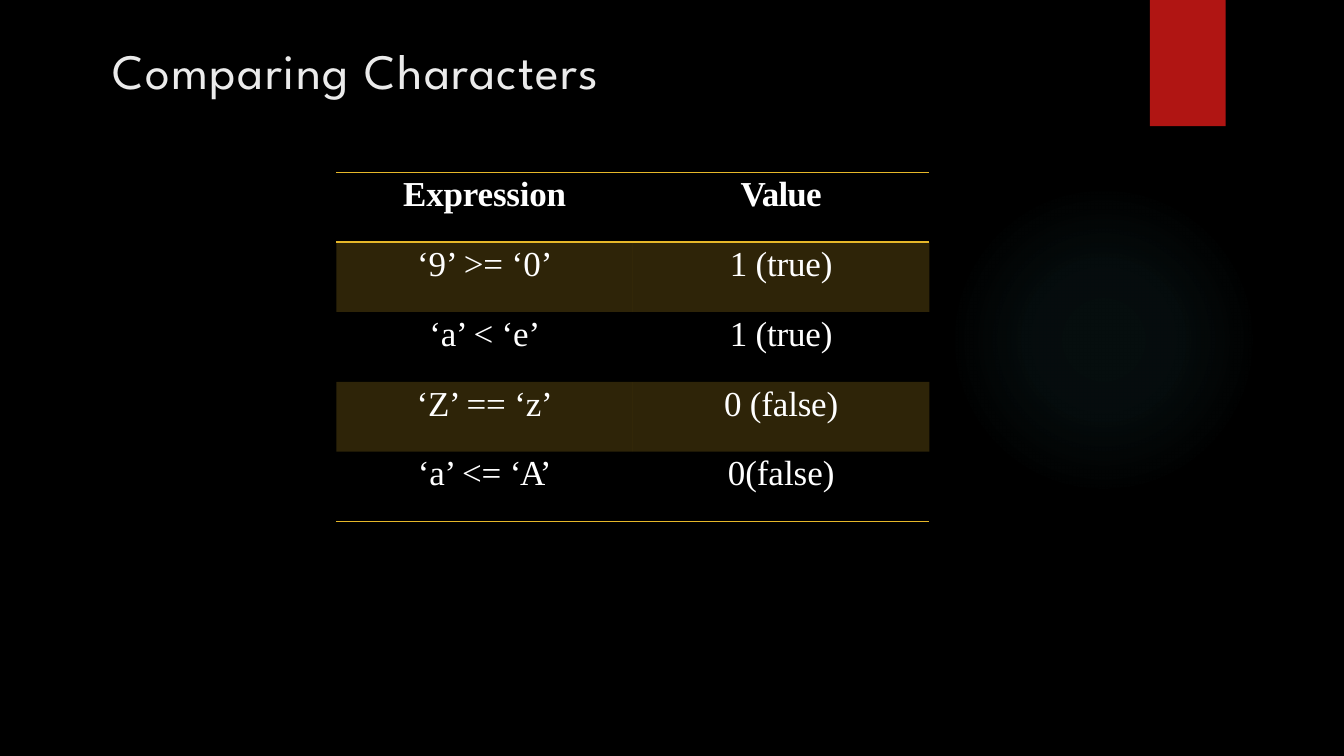
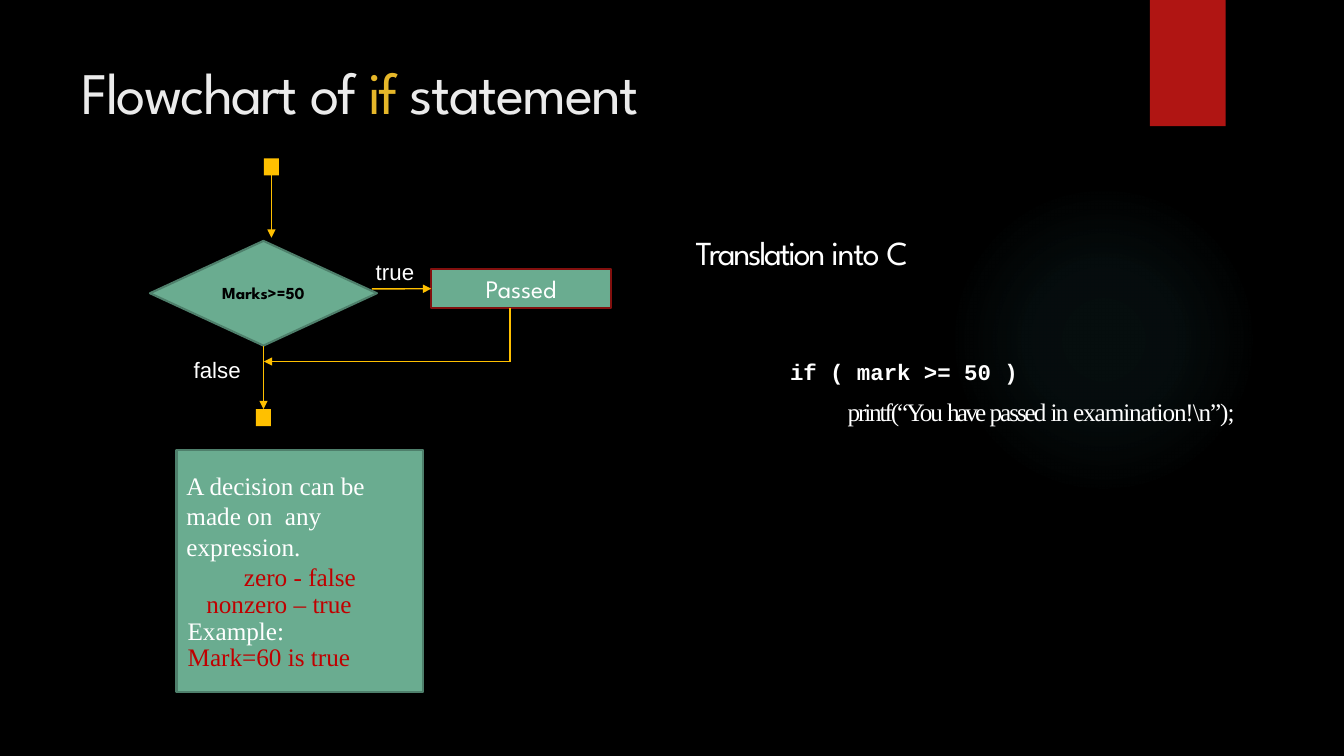
from dataclasses import dataclass, replace

from lxml import etree
from pptx import Presentation
from pptx import util as u
from pptx.dml.color import RGBColor
from pptx.enum import shapes, text
from pptx.oxml import ns, parse_xml
from pptx.util import Cm

COLORS = {
    "background": "000000",
    "band": "B01513",
    "glow": "50B9C1",
    "title": "EBEBEB",
    "accent": "E6B729",
    "arrow": "FFC000",
    "box": "6AAC90",
    "box_line": "4E7F6B",
    "action_line": "82100E",
    "white": "FFFFFF",
    "black": "000000",
    "red": "C00000",
}
SPARTAN, TIMES = "League Spartan", "Times New Roman"
LEFT, CENTER = text.PP_ALIGN.LEFT, text.PP_ALIGN.CENTER
RECTANGLE = shapes.MSO_SHAPE.RECTANGLE
TOP_SIDE, LEFT_SIDE, BOTTOM_SIDE = 0, 1, 2


@dataclass(frozen=True)
class Style:
    size: float
    font: str
    color: str = "white"
    bold: bool = False


@dataclass(frozen=True)
class Run:
    text: str
    style: Style
    tracking: float = 0


@dataclass(frozen=True)
class Line:
    """One paragraph; lengths in cm, spacing in points."""
    runs: tuple[Run, ...]
    align: text.PP_ALIGN = LEFT
    indent: float = 0
    spacing: float | None = None
    before: float = 0


@dataclass(frozen=True)
class Box:
    """A place on the slide in cm."""
    left: float
    top: float
    width: float
    height: float

    def lengths(self) -> tuple:
        return Cm(self.left), Cm(self.top), Cm(self.width), Cm(self.height)


def color(name: str) -> RGBColor:
    return RGBColor.from_string(COLORS[name])


def write(frame, lines: list[Line]) -> None:
    frame.word_wrap = True
    for index, line in enumerate(lines):
        paragraph = frame.paragraphs[0] if index == 0 else frame.add_paragraph()
        paragraph.alignment = line.align
        paragraph.space_before = u.Pt(line.before)
        if line.spacing:
            paragraph.line_spacing = u.Pt(line.spacing)
        if line.indent:
            properties = paragraph._p.get_or_add_pPr()
            properties.set("marL", str(Cm(line.indent)))
            properties.set("indent", "0")
        for part in line.runs:
            run = paragraph.add_run()
            run.text = part.text
            run.font.size = u.Pt(part.style.size)
            run.font.name = part.style.font
            run.font.bold = part.style.bold
            run.font.color.rgb = color(part.style.color)
            if part.tracking:
                run._r.get_or_add_rPr().set("spc", str(round(part.tracking * 100)))


def add_text(slide, box: Box, *lines: Line) -> None:
    frame = slide.shapes.add_textbox(*box.lengths()).text_frame
    frame.margin_left = frame.margin_right = 0
    frame.margin_top = frame.margin_bottom = 0
    write(frame, list(lines))


def add_shape(slide, kind, box: Box, fill: str, outline: str | None = None,
              lines: tuple[Line, ...] = ()):
    shape = slide.shapes.add_shape(kind, *box.lengths())
    shape.shadow.inherit = False
    shape.fill.solid()
    shape.fill.fore_color.rgb = color(fill)
    if outline:
        shape.line.color.rgb = color(outline)
        shape.line.width = u.Pt(1.5)
    else:
        shape.line.fill.background()
    if lines:
        shape.text_frame.vertical_anchor = text.MSO_ANCHOR.MIDDLE
        write(shape.text_frame, list(lines))
    return shape


def add_connector(slide, start: tuple[float, float], end: tuple[float, float],
                  arrow: bool = True):
    connector = slide.shapes.add_connector(
        shapes.MSO_CONNECTOR.STRAIGHT, *(Cm(value) for value in start + end))
    connector.line.color.rgb = color("arrow")
    connector.line.width = u.Pt(1)
    properties = connector.element.find(ns.qn("p:spPr"))
    if arrow:
        etree.SubElement(properties.find(ns.qn("a:ln")), ns.qn("a:tailEnd"), type="triangle")
    etree.SubElement(properties, ns.qn("a:effectLst"))
    return connector


def add_glow(slide) -> None:
    """Draw the faint round light that fades to nothing."""
    glow = add_shape(slide, shapes.MSO_SHAPE.OVAL, Box(23.9, 4.65, 7.82, 7.82), "glow")
    stops = "".join(
        f'<a:gs pos="{position * 1000}"><a:srgbClr val="{COLORS["glow"]}">'
        f'<a:alpha val="{alpha * 1000}"/></a:srgbClr></a:gs>'
        for position, alpha in ((0, 7), (36, 6), (69, 0)))
    gradient = parse_xml(
        f'<a:gradFill {ns.nsdecls("a")}><a:gsLst>{stops}</a:gsLst><a:path path="circle">'
        '<a:fillToRect l="50000" t="50000" r="50000" b="50000"/></a:path></a:gradFill>')
    solid = glow.element.find(ns.qn("p:spPr")).find(ns.qn("a:solidFill"))
    solid.getparent().replace(solid, gradient)


def add_slide(presentation, title_box: Box, *title_runs: Run):
    slide = presentation.slides.add_slide(presentation.slide_layouts[6])
    slide.background.fill.solid()
    slide.background.fill.fore_color.rgb = color("background")
    add_glow(slide)
    add_shape(slide, RECTANGLE, Box(28.98, 0, 1.91, 3.18), "band")
    add_text(slide, title_box, Line(title_runs))
    return slide


def style_cell(cell, shaded: bool, borders: tuple[str, ...]) -> None:
    cell.margin_left = cell.margin_right = cell.margin_bottom = 0
    cell.margin_top = Cm(0.08)
    properties = cell._tc.get_or_add_tcPr()
    if shaded:
        cell.fill.solid()
        cell.fill.fore_color.rgb = color("accent")
        tint = next(properties.iter(ns.qn("a:srgbClr")))
        etree.SubElement(tint, ns.qn("a:alpha"), val="20000")
    else:
        cell.fill.background()
    for index, side in enumerate(borders):
        properties.insert(index, parse_xml(
            f'<a:{side} {ns.nsdecls("a")} w="{u.Pt(1)}"><a:solidFill>'
            f'<a:srgbClr val="{COLORS["accent"]}"/></a:solidFill></a:{side}>'))


def add_comparison_table(slide) -> None:
    body = Style(25, TIMES)
    head = replace(body, bold=True)
    rows = (
        ((Run("Expression", head, -0.1),), (Run("Value", head, -0.6),)),
        ((Run("‘9’ ", body), Run(">= ", body, -0.1), Run("‘0’", body)),
         (Run("1 (true)", body, -0.1),)),
        ((Run("‘a’ < ‘e’", body, -0.1),), (Run("1 (true)", body, -0.1),)),
        ((Run("‘Z’ == ‘z’", body, -0.1),), (Run("0 (false)", body, -0.1),)),
        ((Run("‘a’ <= ", body, -0.1), Run("‘A’", body, -1.1)), (Run("0(false)", body),)),
    )
    borders = {0: ("lnT", "lnB"), len(rows) - 1: ("lnB",)}
    frame = slide.shapes.add_table(len(rows), 2, *Box(8.48, 4.34, 14.94, 8.8).lengths())
    table = frame.table
    table.first_row = table.horz_banding = False
    no_grid = "{2D5ABB26-0587-4C30-8999-92F81FD0307C}"
    next(frame.element.iter(ns.qn("a:tableStyleId"))).text = no_grid
    for row_index, row in enumerate(rows):
        for column_index, runs in enumerate(row):
            cell = table.cell(row_index, column_index)
            style_cell(cell, row_index % 2 == 1, borders.get(row_index, ()))
            write(cell.text_frame, [Line(runs, CENTER, before=2.5)])


def build_comparison(presentation) -> None:
    style = Style(35.3, SPARTAN, "title")
    slide = add_slide(presentation, Box(2.84, 1, 19.58, 1.55),
                      Run("Comparing ", style, 1.1), Run("Characters", style, 1))
    add_comparison_table(slide)


def add_flowchart(slide) -> None:
    start = add_shape(slide, RECTANGLE, Box(6.65, 3.99, 0.38, 0.43), "arrow")
    finish = add_shape(slide, RECTANGLE, Box(6.45, 10.31, 0.38, 0.43), "arrow")
    decision = add_shape(
        slide, shapes.MSO_SHAPE.DIAMOND, Box(3.78, 6.07, 5.72, 2.64), "box", "box_line",
        (Line((Run("Marks>=50", Style(12, SPARTAN, "black", True)),), CENTER),))
    action = add_shape(
        slide, RECTANGLE, Box(10.87, 6.78, 4.52, 0.99), "box", "action_line",
        (Line((Run("Passed", Style(18, SPARTAN)),), CENTER),))

    add_connector(slide, (6.84, 4.42), (6.84, 5.99)).begin_connect(start, BOTTOM_SIDE)
    false_arrow = add_connector(slide, (6.64, 8.71), (6.64, 10.31))
    false_arrow.begin_connect(decision, BOTTOM_SIDE)
    false_arrow.end_connect(finish, TOP_SIDE)
    add_connector(slide, (9.37, 7.28), (10.87, 7.28)).end_connect(action, LEFT_SIDE)
    add_connector(slide, (12.85, 7.77), (12.85, 9.11), arrow=False)
    add_connector(slide, (12.85, 9.11), (6.65, 9.11))

    label = Style(15.9, "Arial")
    for word, left, top in (("true", 9.47, 6.5), ("false", 4.88, 8.97)):
        add_text(slide, Box(left, top, 1.5, 0.71), Line((Run(word, label),)))


def add_note(slide) -> None:
    white = Style(18, TIMES)
    red = replace(white, color="red")
    add_shape(slide, RECTANGLE, Box(4.45, 11.33, 6.22, 6.12), "box", "box_line", (
        Line((Run("A decision can be made on  any expression.", white),)),
        Line((Run("zero - false", red),), CENTER),
        Line((Run("nonzero – true", red),), indent=0.5, spacing=18.5, before=0.9),
        Line((Run("Example:", white),), indent=0.03, spacing=18.5, before=0.9),
        Line((Run("Mark=60 is true", red),), indent=0.03, spacing=18.5),
    ))


def add_translation(slide) -> None:
    heading = Style(24, SPARTAN)
    add_text(slide, Box(17.53, 5.84, 9, 1.1), Line((
        Run("Translation ", heading, -1.6), Run("into ", heading, -1),
        Run("C", heading, -1.7))))
    condition = Style(16, "Courier New", bold=True)
    call = Style(18, TIMES)
    add_text(
        slide, Box(19.91, 8.74, 11.96, 2),
        Line((Run("if ( mark >= 50 )", condition),), spacing=27.4),
        Line((Run("printf(“You ", call, -1.5), Run("have ", call, -2),
              Run("passed ", call, -1.5), Run("in ", call, -1.2),
              Run("examination!\\n”);", call, -0.8)), indent=1.45, spacing=29.5))


def build_flowchart(presentation) -> None:
    style = Style(42, SPARTAN, "title")
    slide = add_slide(
        presentation, Box(2.06, 1.4, 25.63, 2.29),
        Run("Flowchart ", style, -1.4), Run("of ", style, -1.9),
        Run("if ", replace(style, color="accent"), -1.9), Run("statement", style, -1.1))
    add_translation(slide)
    add_flowchart(slide)
    add_note(slide)


def main() -> None:
    presentation = Presentation()
    presentation.slide_width, presentation.slide_height = Cm(33.87), Cm(19.05)
    build_comparison(presentation)
    build_flowchart(presentation)
    presentation.save("out.pptx")


if __name__ == "__main__":
    main()
